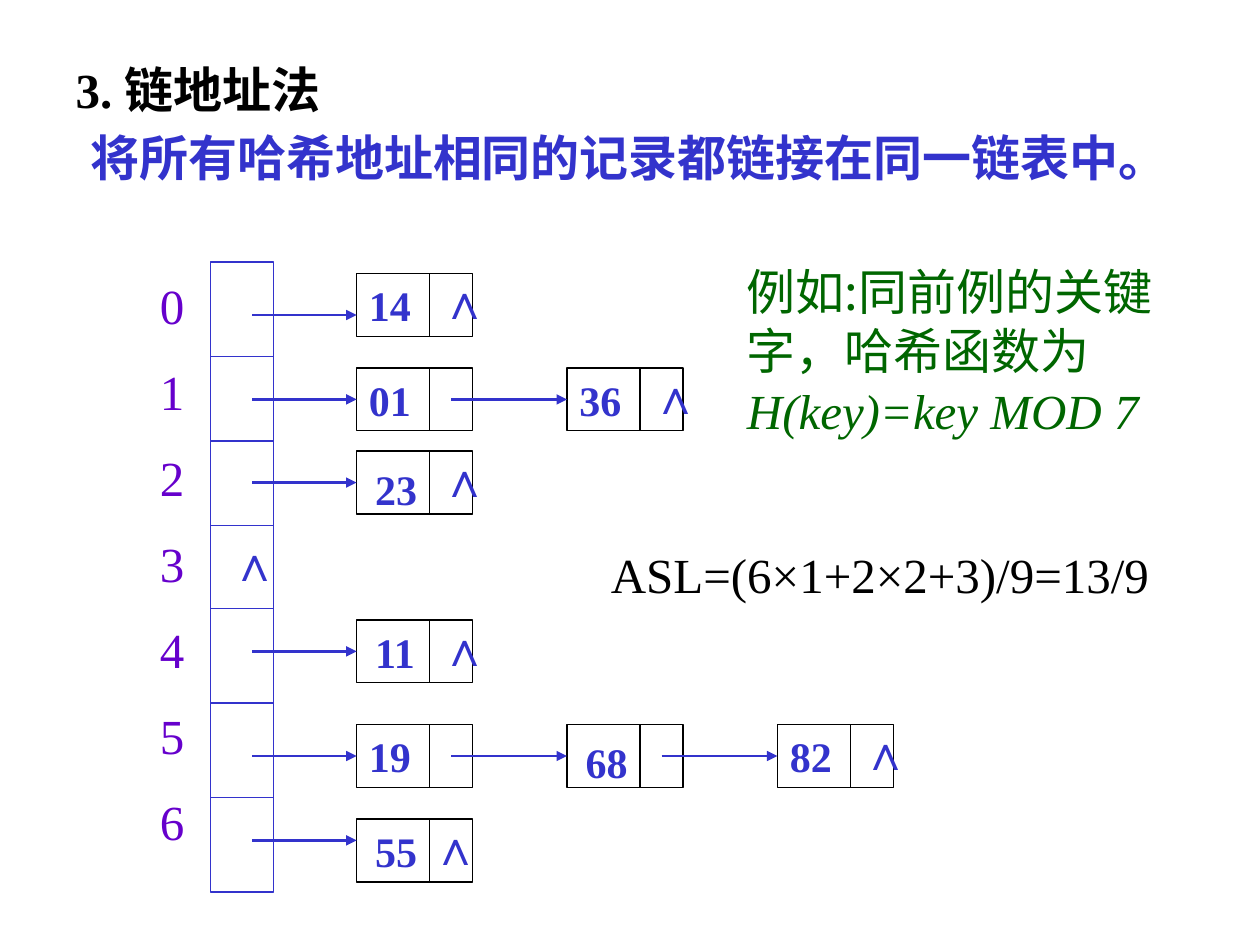
import pptx
import pptx.util
from lxml import etree
from pptx.dml.color import RGBColor
from pptx.enum.shapes import MSO_CONNECTOR, MSO_SHAPE
from pptx.enum.text import MSO_ANCHOR, PP_ALIGN
from pptx.oxml.ns import qn
from pptx.util import Inches, Pt

BLUE = RGBColor(0x33, 0x33, 0xCC)
PURPLE = RGBColor(0x66, 0x00, 0xCC)
GREEN = RGBColor(0x00, 0x66, 0x00)
BLACK = RGBColor(0, 0, 0)
LATIN, CJK = "Times New Roman", "Noto Sans CJK SC"

TITLE = "3. 链地址法"
RULE = "将所有哈希地址相同的记录都链接在同一链表中。"
EXAMPLE = "例如:同前例的关键字，哈希函数为 "
FORMULA = "H(key)=key MOD 7"
ASL = "ASL=(6×1+2×2+3)/9=13/9"
END = "∧"

# Hash table: cell borders from top to bottom
TABLE_X, TABLE_W = 1.67, 0.5
BORDERS = [2.08, 2.83, 3.5, 4.17, 4.83, 5.58, 6.33, 7.08]

# Chains: node top, arrow height, keys, x offset of the end mark
CHAINS = [
    (2.17, 2.5, ["14"], 0.57),
    (2.92, 3.17, ["01", "36"], 0.57),
    (3.58, 3.83, ["23"], 0.57),
    (4.92, 5.17, ["11"], 0.57),
    (5.75, 6, ["19", "68", "82"], 0.57),
    (6.5, 6.67, ["55"], 0.5),
]
# Keys written in a box of their own: offset from the node top
LOOSE_KEYS = {"23": 0.05, "11": 0, "68": 0.05, "55": 0}
NODE_X, NODE_PITCH, NODE_W, NODE_H = 2.83, 1.67, 0.92, 0.5
SPLIT, POINTER = 0.58, 0.75


def add_run(p, text, size, color, bold=False, italic=False, font=LATIN):
    r = p.add_run()
    r.text = text
    r.font.size, r.font.name = Pt(size), font
    r.font.bold, r.font.italic = bold, italic
    r.font.color.rgb = color
    ea = etree.SubElement(r.font._element, qn("a:ea"))
    ea.set("typeface", CJK)


def add_text(s, x, y, w, h, text, size, color, wrap=False, **style):
    tf = s.shapes.add_textbox(Inches(x), Inches(y), Inches(w), Inches(h)).text_frame
    tf.word_wrap = wrap
    add_run(tf.paragraphs[0], text, size, color, **style)
    return tf


def add_line(s, x1, y1, x2, y2, color, width=0.75, arrow=False):
    c = s.shapes.add_connector(MSO_CONNECTOR.STRAIGHT, Inches(x1), Inches(y1),
                               Inches(x2), Inches(y2))
    c.line.color.rgb, c.line.width = color, Pt(width)
    if arrow:
        etree.SubElement(c.line._get_or_add_ln(), qn("a:tailEnd")).set("type", "triangle")
    etree.SubElement(c._element.spPr, qn("a:effectLst"))


def add_box(s, x, y, w, h, color):
    sp = s.shapes.add_shape(MSO_SHAPE.RECTANGLE, Inches(x), Inches(y), Inches(w), Inches(h))
    sp.shadow.inherit = False
    sp.fill.background()
    sp.line.color.rgb, sp.line.width = color, Pt(0.75)
    return sp


def add_node(s, x, y, key):
    sp = add_box(s, x, y, NODE_W, NODE_H, BLACK)
    add_line(s, x + SPLIT, y, x + SPLIT, y + NODE_H, BLACK)
    if key in LOOSE_KEYS:
        add_text(s, x + 0.05, y + LOOSE_KEYS[key], 0.53, 0.5, key, 24, BLUE, bold=True)
        return
    tf = sp.text_frame
    tf.vertical_anchor = MSO_ANCHOR.MIDDLE
    p = tf.paragraphs[0]
    p.alignment = PP_ALIGN.LEFT
    add_run(p, key, 24, BLUE, bold=True)


def add_end(s, x, y):
    add_text(s, x, y, 0.44, 0.57, END, 28, BLUE, bold=True)


prs = pptx.Presentation()
prs.slide_width, prs.slide_height = Inches(10), Inches(7.5)
s = prs.slides.add_slide(prs.slide_layouts[5])

title = s.shapes.title
title.left, title.top, title.width, title.height = map(Inches, (0.5, 0.42, 3.08, 0.57))
title.text_frame.vertical_anchor = MSO_ANCHOR.MIDDLE
p = title.text_frame.paragraphs[0]
p.alignment = PP_ALIGN.LEFT
add_run(p, TITLE, 28, BLACK, bold=True)

add_text(s, 0.62, 0.96, 8.79, 0.62, RULE, 28, BLUE, wrap=True, bold=True)

add_box(s, TABLE_X, BORDERS[0], TABLE_W, BORDERS[-1] - BORDERS[0], BLUE)
for y in BORDERS[1:-1]:
    add_line(s, TABLE_X, y, TABLE_X + TABLE_W, y, BLUE)

tf = add_text(s, 1.17, 2.14, 0.58, 4.78, "0", 28, PURPLE, wrap=True)
for address in range(1, 7):
    p = tf.add_paragraph()
    p.space_before = Pt(15.5)
    add_run(p, str(address), 28, PURPLE)

for top, arrow_y, keys, end_dx in CHAINS:
    start = 2
    for i, key in enumerate(keys):
        x = NODE_X + i * NODE_PITCH
        add_node(s, x, top, key)
        add_line(s, start, arrow_y, x, arrow_y, BLUE, 1.5, arrow=True)
        start = x + POINTER
    add_end(s, x + end_dx, top - 0.07)
add_end(s, 1.73, 4.18)

add_text(s, 4.75, 4.27, 4.82, 0.57, ASL, 28, BLACK)
p = add_text(s, 5.83, 2.02, 3.65, 1.5, EXAMPLE, 28, GREEN, wrap=True, font=CJK).paragraphs[0]
p.line_spacing = Pt(34)
add_run(p, FORMULA, 28, GREEN, italic=True)

prs.save("out.pptx")
